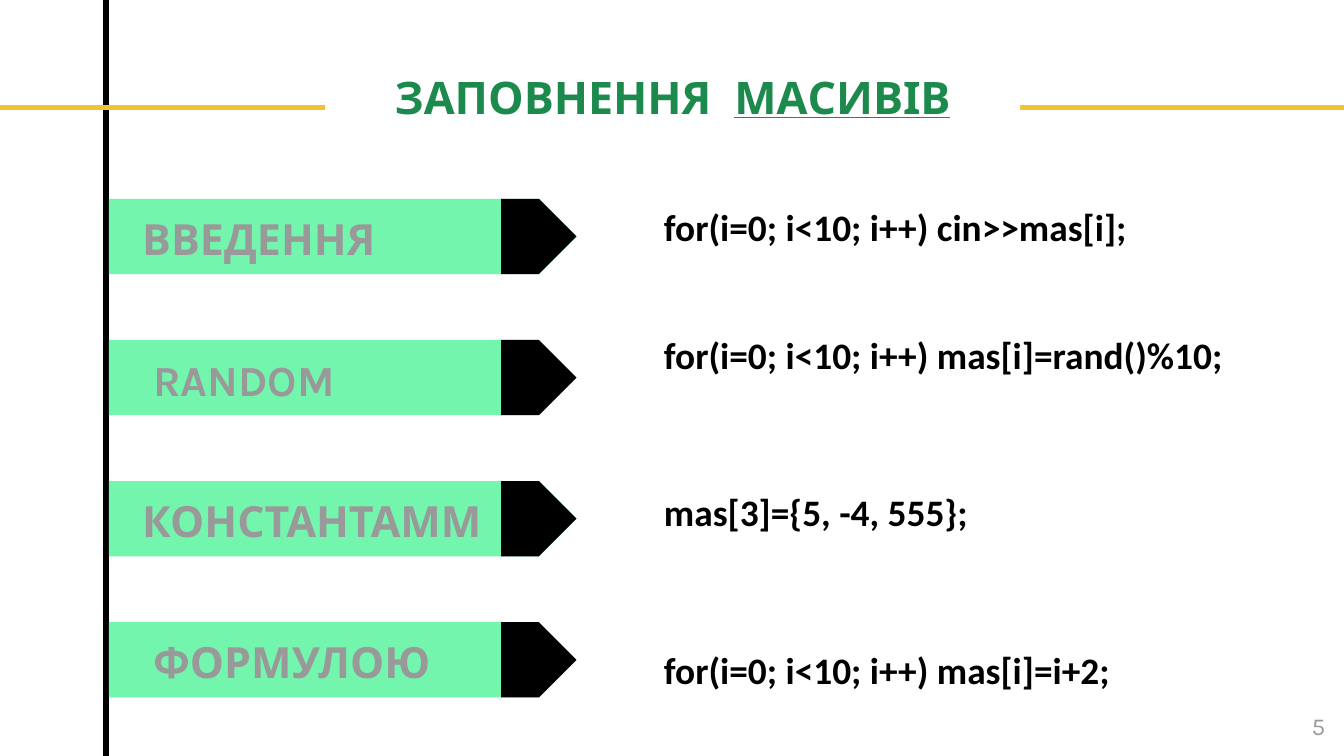
import pptx
import pptx.util
import pptx.dml.color
import pptx.enum.shapes
import pptx.enum.text
import pptx.oxml

COLORS = {
    "white": "FFFFFF", "black": "000000", "yellow": "F1C232",
    "mint": "73F5AD", "green": "1D8A4D", "gray": "999999",
}
FORMATS = {
    "title": {"name": "Karla", "size": 24, "bold": True, "color": "green"},
    "label": {"name": "Karla", "size": 23, "bold": True, "color": "gray"},
    "code": {"name": "Calibri", "size": 20, "bold": True, "color": "black"},
    "number": {"name": "Karla", "size": 13, "bold": False, "color": "gray"},
}
TITLE_RUNS = [
    ("ЗАПОВНЕННЯ", {}),
    (" ", {"spacing": 6.2}),
    ("МАСИВІВ", {"underline": True}),
]
METHODS = [
    {"label": "ВВЕДЕННЯ", "box": (0.96, 2.19, 0.39),
     "code": "for(i=0; i<10; i++) cin>>mas[i];", "code_top": 1.34},
    {"label": "RANDOM", "box": (1.04, 2.19, 0.39),
     "code": "for(i=0; i<10; i++) mas[i]=rand()%10;", "code_top": 2.29},
    {"label": "КОНСТАНТАММ", "box": (0.96, 2.75, 0.56),
     "code": "mas[3]={5, -4, 555};", "code_top": 3.46},
    {"label": "ФОРМУЛОЮ", "box": (1.04, 2.75, 0.56),
     "code": "for(i=0; i<10; i++) mas[i]=i+2;", "code_top": 4.63},
]
SLIDE_NUMBER = "5"

WIDTH = 10
HEIGHT = WIDTH * 9 / 16
RAIL_X, RULE_Y = 0.79, 0.8
FIRST_ROW, ROW_STEP = 1.48, 1.05
ARROW_LEFT, ARROW_WIDTH, ARROW_HEIGHT = 0.81, 3.48, 0.56
CODE_LEFT, CODE_WIDTH, CODE_HEIGHT = 4.9, 4.61, 1.04
CODE_INSETS = (0.04, 0.04, 0.04, 0.34)

ALIGN = pptx.enum.text.PP_ALIGN
ANCHOR = pptx.enum.text.MSO_ANCHOR
SHAPE = pptx.enum.shapes.MSO_SHAPE


def inches(values):
    return [pptx.util.Inches(value) for value in values]


def color(name):
    return pptx.dml.color.RGBColor.from_string(COLORS[name])


def add_line(slide, start, end, color_name):
    line = slide.shapes.add_connector(
        pptx.enum.shapes.MSO_CONNECTOR.STRAIGHT, *inches(start + end))
    line.line.color.rgb = color(color_name)
    line.line.width = pptx.util.Pt(3)
    line._element.spPr.append(pptx.oxml.parse_xml(
        '<a:effectLst xmlns:a="http://schemas.openxmlformats.org/drawingml/2006/main"/>'))


def add_block(shapes, kind, area, color_name):
    shape = shapes.add_shape(kind, *inches(area))
    shape.shadow.inherit = False
    shape.fill.solid()
    shape.fill.fore_color.rgb = color(color_name)
    shape.line.fill.background()


def format_run(run, settings):
    for key, value in settings.items():
        if key == "color":
            run.font.color.rgb = color(value)
        elif key == "spacing":
            run._r.get_or_add_rPr().set("spc", str(round(value * 100)))
        else:
            setattr(run.font, key, pptx.util.Pt(value) if key == "size" else value)


def add_text(slide, area, runs, style, align=ALIGN.LEFT, anchor=ANCHOR.TOP,
             insets=(0.1, 0.1, 0.1, 0.1), line_spacing=1.0):
    frame = slide.shapes.add_textbox(*inches(area)).text_frame
    settings = {"word_wrap": True, "vertical_anchor": anchor}
    sides = ("left", "top", "right", "bottom")
    settings.update({f"margin_{side}": inset for side, inset in zip(sides, inches(insets))})
    for key, value in settings.items():
        setattr(frame, key, value)
    paragraph = frame.paragraphs[0]
    for key, value in {"alignment": align, "line_spacing": line_spacing}.items():
        setattr(paragraph, key, value)
    for text, extra in runs:
        run = paragraph.add_run()
        run.text = text
        format_run(run, {**FORMATS[style], **extra})


def add_method(slide, row, method):
    top = FIRST_ROW + row * ROW_STEP
    tip_left = ARROW_LEFT + ARROW_WIDTH - ARROW_HEIGHT
    arrow = slide.shapes.add_group_shape()
    add_block(arrow.shapes, SHAPE.PENTAGON,
              (ARROW_LEFT, top, ARROW_WIDTH, ARROW_HEIGHT), "mint")
    add_block(arrow.shapes, SHAPE.PENTAGON,
              (tip_left, top, ARROW_HEIGHT, ARROW_HEIGHT), "black")
    left, width, height = method["box"]
    add_text(slide, (left, top, width, height), [(method["label"], {})], "label")
    add_text(slide, (CODE_LEFT, method["code_top"], CODE_WIDTH, CODE_HEIGHT),
             [(method["code"], {})], "code", anchor=ANCHOR.MIDDLE,
             insets=CODE_INSETS, line_spacing=0.9)


def main():
    presentation = pptx.Presentation()
    presentation.slide_width, presentation.slide_height = inches((WIDTH, HEIGHT))
    slide = presentation.slides.add_slide(presentation.slide_layouts[6])
    add_line(slide, (RAIL_X, 0), (RAIL_X, HEIGHT), "black")
    add_line(slide, (WIDTH, RULE_Y), (0, RULE_Y), "yellow")
    add_block(slide.shapes, SHAPE.RECTANGLE, (2.42, 0.09, 5.17, 1.13), "white")
    add_text(slide, (RAIL_X, 0.42, 8.43, 0.84), TITLE_RUNS, "title", ALIGN.CENTER)
    for row, method in enumerate(METHODS):
        add_method(slide, row, method)
    add_text(slide, (9.36, 5.19, 0.6, 0.43), [(SLIDE_NUMBER, {})], "number", ALIGN.RIGHT)
    presentation.save("out.pptx")


if __name__ == "__main__":
    main()
